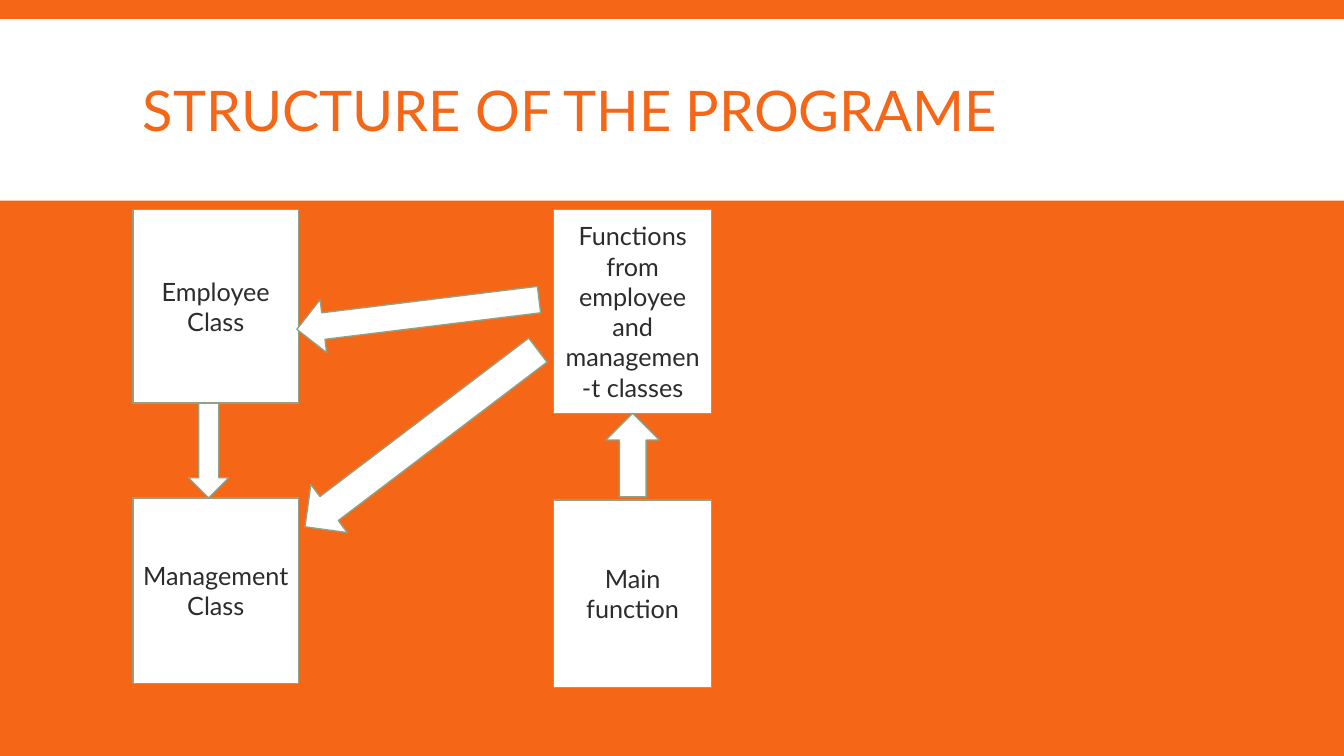
from dataclasses import dataclass

from pptx import Presentation
from pptx.dml.color import RGBColor
from pptx.enum.shapes import MSO_SHAPE
from pptx.enum.text import MSO_ANCHOR, PP_ALIGN
from pptx.util import Inches, Pt

RECTANGLE = MSO_SHAPE.RECTANGLE
DOWN_ARROW = MSO_SHAPE.DOWN_ARROW
MIDDLE = MSO_ANCHOR.MIDDLE
CENTER = PP_ALIGN.CENTER


@dataclass(frozen=True)
class Theme:
    orange: RGBColor = RGBColor(0xF5, 0x66, 0x17)
    white: RGBColor = RGBColor(0xFF, 0xFF, 0xFF)
    outline: RGBColor = RGBColor(0x94, 0xA0, 0x80)
    ink: RGBColor = RGBColor(0x2C, 0x2C, 0x2C)
    font: str = "Lato"
    title_size: int = 40
    box_size: int = 18


THEME = Theme()
SLIDE_WIDTH, SLIDE_HEIGHT = 13.33, 7.5
LEFT_COLUMN = (1.32, 1.64)
RIGHT_COLUMN = (5.49, 1.57)

BOXES = [
    ("Employee Class", LEFT_COLUMN, 2.08, 1.92),
    ("Management\nClass", LEFT_COLUMN, 4.94, 1.84),
    ("Functions from employee and managemen-t classes", RIGHT_COLUMN, 2.08, 2.02),
    ("Main function", RIGHT_COLUMN, 4.96, 1.86),
]

ARROWS = [
    (1.87, 4, 0.4, 0.94, 0),
    (3.88, 1.91, 0.53, 2.42, 83),
    (3.88, 2.9, 0.6, 2.9, 52.8),
    (6.01, 4.1, 0.53, 0.83, 180),
]


def format_text(text_frame, size, color):
    text_frame.word_wrap = True
    text_frame.vertical_anchor = MIDDLE
    for paragraph in text_frame.paragraphs:
        for run in paragraph.runs:
            run.font.name = THEME.font
            run.font.size = Pt(size)
            run.font.color.rgb = color


def add_white_shape(slide, kind, left, top, width, height, outlined=True):
    shape = slide.shapes.add_shape(
        kind, Inches(left), Inches(top), Inches(width), Inches(height)
    )
    shape.shadow.inherit = False
    shape.fill.solid()
    shape.fill.fore_color.rgb = THEME.white
    if outlined:
        shape.line.color.rgb = THEME.outline
        shape.line.width = Pt(1)
    else:
        shape.line.fill.background()
    return shape


def add_title(slide, text):
    title = slide.shapes.add_textbox(
        Inches(1.32), Inches(0.31), Inches(10.7), Inches(1.65)
    )
    title.text_frame.text = text
    title.text_frame.paragraphs[0].line_spacing = 0.85
    format_text(title.text_frame, THEME.title_size, THEME.orange)


def add_box(slide, text, column, top, height):
    left, width = column
    box = add_white_shape(slide, RECTANGLE, left, top, width, height)
    box.text_frame.text = text
    for paragraph in box.text_frame.paragraphs:
        paragraph.alignment = CENTER
    format_text(box.text_frame, THEME.box_size, THEME.ink)


def add_arrow(slide, left, top, width, height, rotation):
    arrow = add_white_shape(slide, DOWN_ARROW, left, top, width, height)
    arrow.rotation = rotation


def main():
    presentation = Presentation()
    presentation.slide_width = Inches(SLIDE_WIDTH)
    presentation.slide_height = Inches(SLIDE_HEIGHT)
    slide = presentation.slides.add_slide(presentation.slide_layouts[6])
    slide.background.fill.solid()
    slide.background.fill.fore_color.rgb = THEME.orange

    add_white_shape(slide, RECTANGLE, 0, 0.19, SLIDE_WIDTH, 1.8, outlined=False)
    add_title(slide, "STRUCTURE OF THE PROGRAME")
    for box in BOXES:
        add_box(slide, *box)
    for arrow in ARROWS:
        add_arrow(slide, *arrow)

    presentation.save("out.pptx")


if __name__ == "__main__":
    main()
